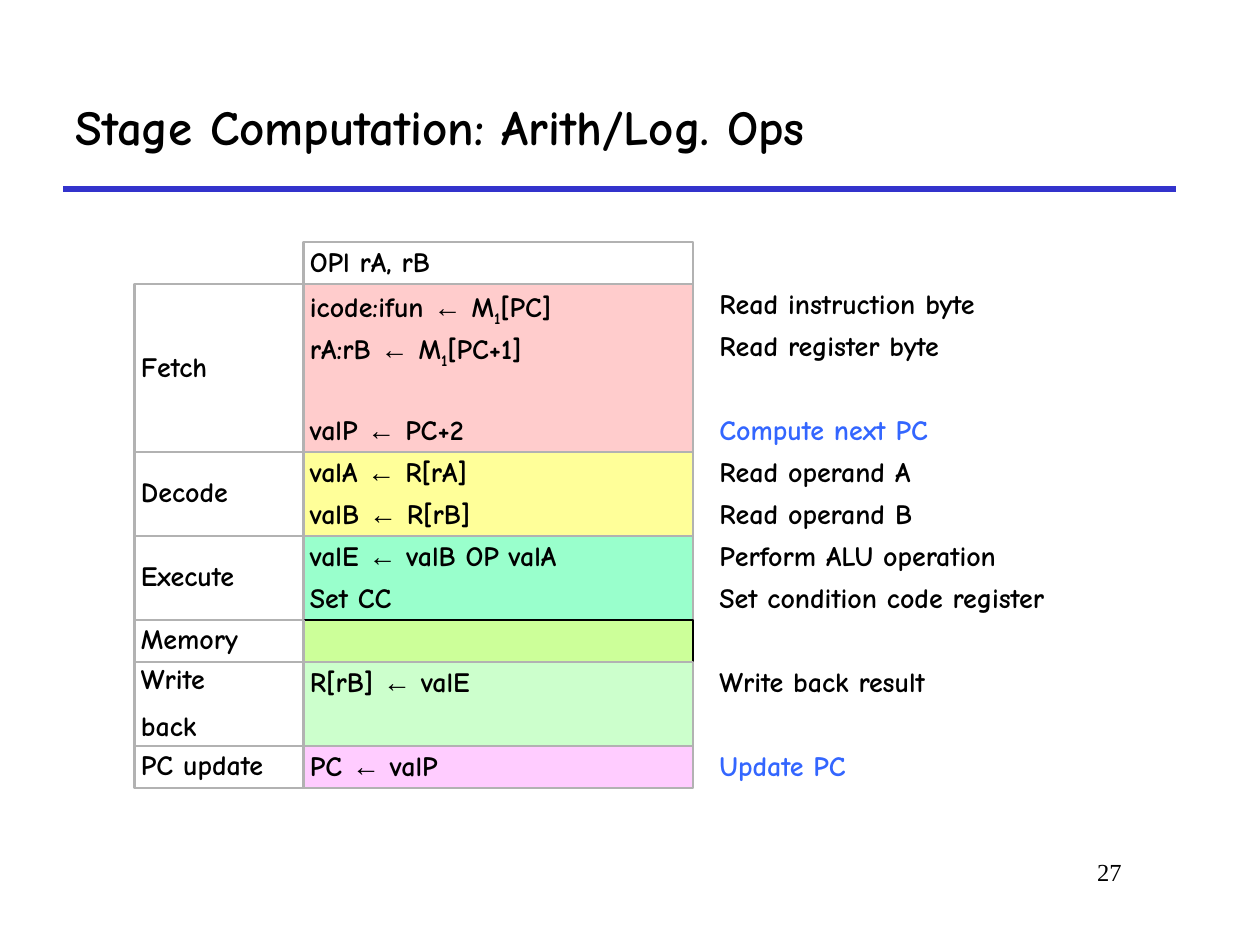
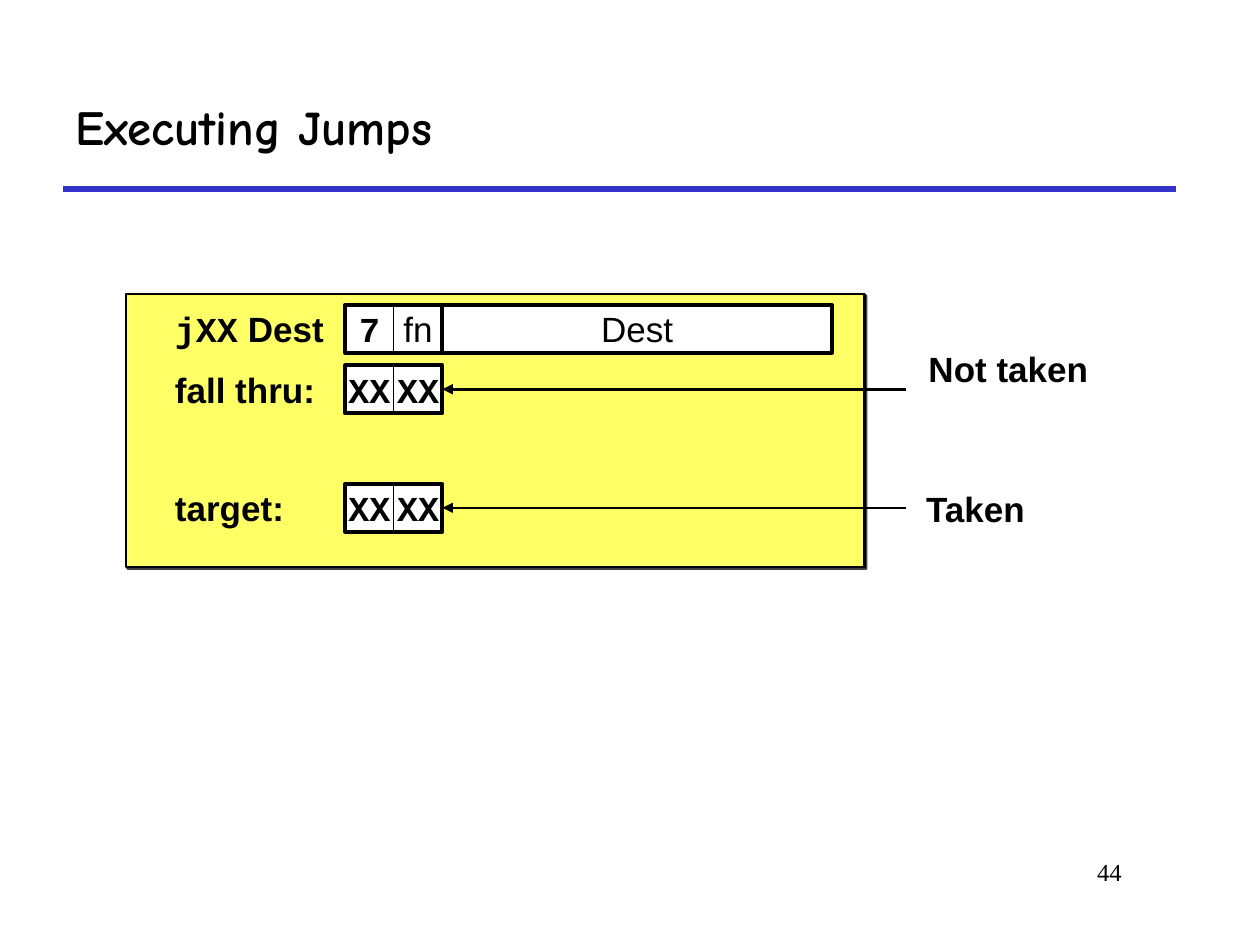
from lxml import etree
from pptx import Presentation
from pptx.dml import color
from pptx.enum import shapes, text as tx
from pptx.oxml import ns
from pptx.util import Pt

COMIC, ARIAL, MONO, SERIF = "Comic Neue", "Arial", "Courier New", "Times New Roman"
BLACK, WHITE, GRAY, BLUE, RULE = "000000", "FFFFFF", "B2B2B2", "3366FF", "3333CC"
LEFT, RIGHT, MID = tx.PP_ALIGN.LEFT, tx.PP_ALIGN.RIGHT, tx.PP_ALIGN.CENTER
TIGHT, LOOSE = (3.6, 3.6), (7.2, 3.6)

ARROW = ("←", {"font": ARIAL})
ONE = ("1", {"base": -25000})

STEP_X, STEP_W = 173.5, 222.5
NAME_X, NAME_W = 77, 96.5
NOTE_X = 407.5
TOP, ROW = 138.25, 24

STAGES = [
    ("Fetch", "FFCCCC", GRAY, [
        (["icode:ifun ", ARROW, " M", ONE, "[PC]"], "Read instruction byte", BLACK),
        (["rA:rB ", ARROW, " M", ONE, "[PC+1]"], "Read register byte", BLACK),
        ([], "", BLACK),
        (["valP ", ARROW, " PC+2"], "Compute next PC", BLUE)]),
    ("Decode", "FFFF99", GRAY, [
        (["valA ", ARROW, " R[rA]"], "Read operand A", BLACK),
        (["valB ", ARROW, " R[rB]"], "Read operand B", BLACK)]),
    ("Execute", "99FFCC", GRAY, [
        (["valE ", ARROW, " valB OP valA"], "Perform ALU operation", BLACK),
        (["Set CC"], "Set condition code register", BLACK)]),
    ("Memory", "CCFF99", BLACK, [([], "", BLACK)]),
    ("Write\nback", "CCFFCC", GRAY, [
        (["R[rB] ", ARROW, " valE"], "Write back result", BLACK),
        ([], "", BLACK)]),
    ("PC update", "FFCCFF", GRAY, [
        (["PC ", ARROW, " valP"], "Update PC", BLUE)]),
]

CODE_X, BYTE_W, BYTE_H = 197.25, 27.8, 27.4
CODES = [
    (174.25, [("jXX", {"font": MONO}), " Dest"],
     [("7", MONO, True), ("fn", ARIAL, False)]),
    (208.75, ["fall thru:"], [("XX", MONO, True)] * 2),
    (276.5, ["target:"], [("XX", MONO, True)] * 2),
]


def rgb(code):
    return color.RGBColor.from_string(code)


def write(shape, parts, size=16, font=COMIC, ink=BLACK, bold=True, align=LEFT,
          middle=False, wrap=True, inset=TIGHT, lead=None, gap=0):
    frame = shape.text_frame
    frame.word_wrap = wrap
    frame.margin_left = frame.margin_right = Pt(inset[0])
    frame.margin_top = frame.margin_bottom = Pt(inset[1])
    frame.vertical_anchor = tx.MSO_ANCHOR.MIDDLE if middle else tx.MSO_ANCHOR.TOP
    lines = [[line] for line in parts.split("\n")] if isinstance(parts, str) else [parts]
    for i, line in enumerate(lines):
        para = frame.add_paragraph() if i else frame.paragraphs[0]
        para.alignment = align
        if lead:
            para.line_spacing = lead
        if i and gap:
            para.space_before = Pt(gap)
        for part in line:
            words, style = (part, {}) if isinstance(part, str) else part
            run = para.add_run()
            run.text = words
            run.font.size = Pt(size)
            run.font.bold = bold
            run.font.name = style.get("font", font)
            run.font.color.rgb = rgb(ink)
            if "base" in style:
                run.font._element.set("baseline", str(style["base"]))


def label(slide, x, y, w, h, parts, **style):
    box = slide.shapes.add_textbox(Pt(x), Pt(y), Pt(w), Pt(h))
    write(box, parts, **style)
    return box


def rect(slide, x, y, w, h, fill=None, line=None, width=1.5):
    box = slide.shapes.add_shape(shapes.MSO_SHAPE.RECTANGLE, Pt(x), Pt(y), Pt(w), Pt(h))
    box.shadow.inherit = False
    if fill:
        box.fill.solid()
        box.fill.fore_color.rgb = rgb(fill)
    else:
        box.fill.background()
    if line:
        box.line.color.rgb = rgb(line)
        box.line.width = Pt(width)
    else:
        box.line.fill.background()
    return box


def link(slide, x1, y1, x2, y2, ink=BLACK, width=1.5, arrow=False):
    line = slide.shapes.add_connector(shapes.MSO_CONNECTOR.STRAIGHT,
                                      Pt(x1), Pt(y1), Pt(x2), Pt(y2))
    line.line.color.rgb = rgb(ink)
    line.line.width = Pt(width)
    if arrow:
        etree.SubElement(line.line._get_or_add_ln(), ns.qn("a:tailEnd"), type="triangle")
    etree.SubElement(line._element.spPr, ns.qn("a:effectLst"))


def shade(box):
    effects = box._element.spPr.find(ns.qn("a:effectLst"))
    drop = etree.SubElement(effects, ns.qn("a:outerShdw"), blurRad="0",
                            dist=str(Pt(1.4)), dir="2700000", algn="ctr", rotWithShape="0")
    ink = etree.SubElement(drop, ns.qn("a:srgbClr"), val=BLACK)
    etree.SubElement(ink, ns.qn("a:alpha"), val="75000")


def page(deck, title, number):
    slide = deck.slides.add_slide(deck.slide_layouts[6])
    link(slide, 36, 108, 672, 108, RULE, 3)
    label(slide, 36, 36, 636, 72, title, size=28, middle=True, inset=LOOSE)
    label(slide, 546, 486, 102, 36, number, size=14, font=SERIF, bold=False,
          align=RIGHT, inset=LOOSE)
    return slide


def stage(slide, y, name, fill, edge, steps):
    for i, (step, note, ink) in enumerate(steps):
        row = y + i * ROW
        cell = rect(slide, STEP_X, row, STEP_W, ROW, fill)
        if step:
            write(cell, step, lead=0.9)
        if note:
            label(slide, NOTE_X, row, STEP_W, ROW, note, ink=ink, lead=0.9)
    high = len(steps) * ROW
    rect(slide, STEP_X, y, STEP_W, high, line=edge)
    head = rect(slide, NAME_X, y, NAME_W, high, line=GRAY)
    write(head, name, middle=True, lead=0.9, gap=10)
    return y + high


def field(slide, x, y, w, word, font, bold, width):
    box = rect(slide, x, y, w, BYTE_H, WHITE, BLACK, width)
    write(box, word, size=20, font=font, bold=bold, align=MID, middle=True,
          wrap=False, inset=LOOSE)


def code(slide, y, name, cells):
    label(slide, 92.9, y, 101.5, BYTE_H, name, size=20, font=ARIAL, middle=True,
          wrap=False, inset=LOOSE)
    for i, (word, font, bold) in enumerate(cells):
        field(slide, CODE_X + i * BYTE_W, y, BYTE_W, word, font, bold, 0.5)
    rect(slide, CODE_X, y, 2 * BYTE_W, BYTE_H, line=BLACK, width=2.25)


def stages(deck):
    slide = page(deck, "Stage Computation: Arith/Log. Ops", "27")
    head = rect(slide, STEP_X, TOP, STEP_W, ROW, line=GRAY)
    write(head, "OPl rA, rB", lead=0.9)
    y = TOP + ROW
    for item in STAGES:
        y = stage(slide, y, *item)


def jumps(deck):
    slide = page(deck, "Executing Jumps", "44")
    shade(rect(slide, 72, 168, 422, 156, "FFFF66", BLACK))
    for item in CODES:
        code(slide, *item)
    end = CODE_X + 2 * BYTE_W
    field(slide, end, CODES[0][0], 222.5, "Dest", ARIAL, False, 2.25)
    for (y, _, _), x, top, w, note in zip(CODES[1:], (527, 525.6), (198, 278),
                                         (98.6, 65.5), ("Not taken", "Taken")):
        link(slide, 517.5, y + BYTE_H / 2, end, y + BYTE_H / 2, arrow=True)
        box = label(slide, x, top, w, 28.8, note, size=20, font=ARIAL, wrap=False, lead=0.9)
        box.text_frame.auto_size = tx.MSO_AUTO_SIZE.SHAPE_TO_FIT_TEXT


def main():
    deck = Presentation()
    deck.slide_width, deck.slide_height = Pt(720), Pt(540)
    stages(deck)
    jumps(deck)
    deck.save("out.pptx")


if __name__ == "__main__":
    main()
